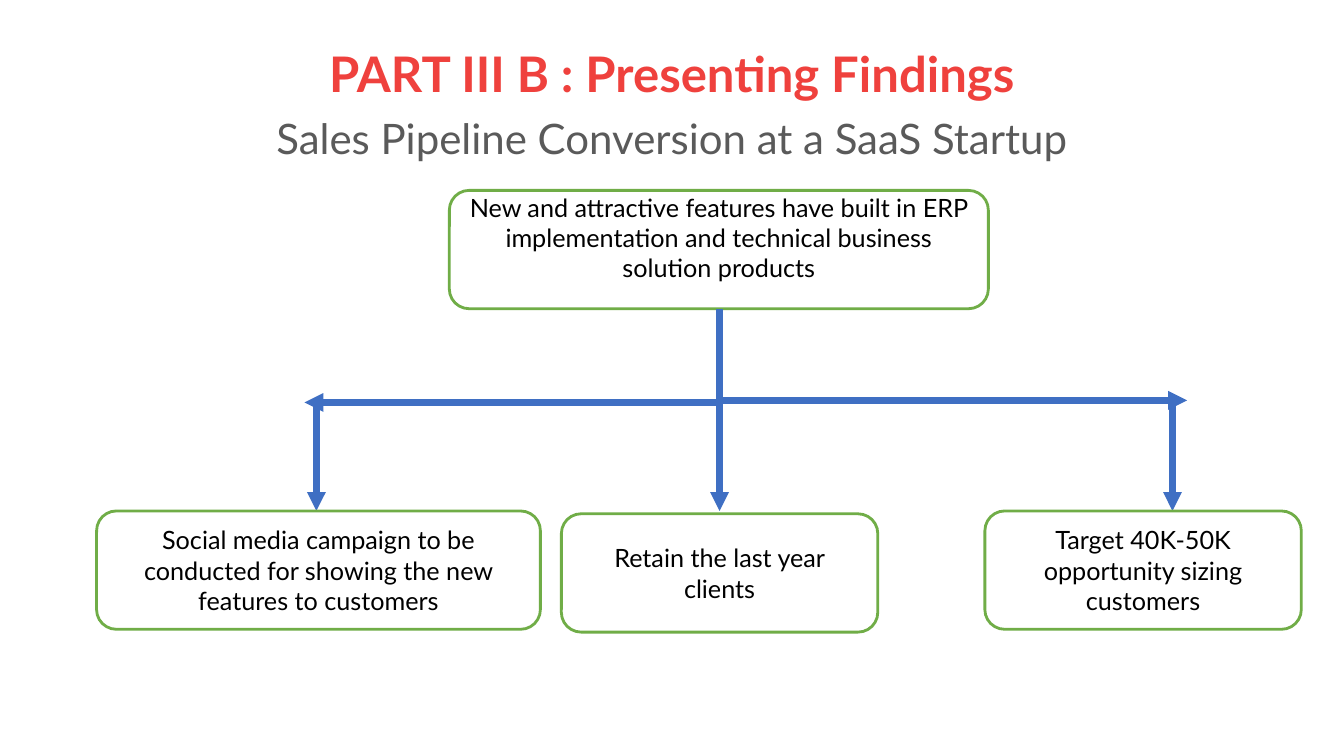
"""Build a slide that leads from one finding to three actions."""
from dataclasses import dataclass

import pptx
import pptx.dml.color
import pptx.enum.shapes
import pptx.enum.text
import pptx.oxml
import pptx.oxml.ns
import pptx.util
from lxml import etree

Pt = pptx.util.Pt
MIDDLE = pptx.enum.text.MSO_ANCHOR.MIDDLE
CENTER = pptx.enum.text.PP_ALIGN.CENTER


@dataclass(frozen=True)
class Theme:
    """Colours, font and sizes of the slide."""
    font: str = "Lato"
    title: str = "EF413D"
    subtitle: str = "5A5A5A"
    text: str = "000000"
    fill: str = "FFFFFF"
    border: str = "70AD47"
    arrow: str = "3F6FC3"
    title_size: float = 35
    subtitle_size: float = 30
    text_size: float = 18
    border_width: float = 2
    arrow_width: float = 4.5


THEME = Theme()
BOX_HEIGHT = 84.5
TRUNK_X = 514
BRANCH_Y = 286
ACTION_Y = 365


def rgb(value):
    """Return a colour for a hex string."""
    return pptx.dml.color.RGBColor.from_string(value)


def write(para, text, size, color, bold=False):
    """Put centred, styled text in a paragraph."""
    para.text = text
    para.alignment = CENTER
    para.font.name = THEME.font
    para.font.size = Pt(size)
    para.font.bold = bold
    para.font.color.rgb = rgb(color)


def add_heading(page, title, subtitle):
    """Fill the title placeholder with a title and a subtitle."""
    box = page.shapes.title
    box.left, box.top, box.width, box.height = Pt(66), Pt(24), Pt(828), Pt(104.5)
    frame = box.text_frame
    frame.auto_size = pptx.enum.text.MSO_AUTO_SIZE.NONE
    frame.vertical_anchor = MIDDLE
    first, second = frame.paragraphs[0], frame.add_paragraph()
    write(first, title, THEME.title_size, THEME.title, bold=True)
    write(second, subtitle, THEME.subtitle_size, THEME.subtitle)
    for para in (first, second):
        para.line_spacing = 0.9
        para.space_before = Pt(0)
    second.space_before = Pt(11)


def add_box(page, left, top, width, text):
    """Add a rounded, outlined box and return it."""
    box = page.shapes.add_shape(
        pptx.enum.shapes.MSO_SHAPE.ROUNDED_RECTANGLE,
        Pt(left), Pt(top), Pt(width), Pt(BOX_HEIGHT))
    box.shadow.inherit = False
    box.fill.solid()
    box.fill.fore_color.rgb = rgb(THEME.fill)
    box.line.color.rgb = rgb(THEME.border)
    box.line.width = Pt(THEME.border_width)
    frame = box.text_frame
    frame.word_wrap = True
    frame.vertical_anchor = MIDDLE
    write(frame.paragraphs[0], text, THEME.text_size, THEME.text)
    return box


def add_arrow(page, start, end):
    """Add a straight arrow between two points and return it."""
    arrow = page.shapes.add_connector(
        pptx.enum.shapes.MSO_CONNECTOR.STRAIGHT,
        *(Pt(length) for length in (*start, *end)))
    arrow.line.color.rgb = rgb(THEME.arrow)
    arrow.line.width = Pt(THEME.arrow_width)
    qn = pptx.oxml.ns.qn
    etree.SubElement(arrow.line._get_or_add_ln(), qn("a:tailEnd"), type="triangle")
    etree.SubElement(arrow._element.spPr, qn("a:effectLst"))
    return arrow


def add_bent_arrow(page, start, end):
    """Add an arrow that runs down from start, then left to end."""
    across, down = start[0] - end[0], end[1] - start[1]
    left = (start[0] + end[0] - down) / 2
    top = (start[1] + end[1] - across) / 2
    arrow = add_arrow(page, (left, top), (left + down, top + across))
    properties = arrow._element.spPr
    properties.find(pptx.oxml.ns.qn("a:prstGeom")).set("prst", "bentConnector2")
    properties.find(pptx.oxml.ns.qn("a:xfrm")).set("rot", str(90 * 60000))


def main():
    """Build and save the deck."""
    deck = pptx.Presentation()
    deck.slide_width, deck.slide_height = Pt(960), Pt(540)
    page = deck.slides.add_slide(deck.slide_layouts.get_by_name("Title Only"))
    add_heading(page, "PART III B : Presenting Findings",
                "Sales Pipeline Conversion at a SaaS Startup")

    finding = add_box(page, 321, 136, 385,
                      "New and attractive features have built in ERP "
                      "implementation and technical business solution products")
    finding.text_frame.margin_top = Pt(0)
    finding.text_frame.margin_bottom = Pt(17)

    add_bent_arrow(page, (TRUNK_X, 221), (217.5, 287.5))
    add_arrow(page, (TRUNK_X, BRANCH_Y), (848, BRANCH_Y))
    actions = (
        (226, 69, ACTION_Y, 317, "Social media campaign to be conducted for "
                                 "showing the new features to customers"),
        (TRUNK_X, 401, ACTION_Y + 2, 226, "Retain the last year clients"),
        (837.5, 703.5, ACTION_Y, 226, "Target 40K-50K opportunity sizing customers"),
    )
    for arrow_x, left, top, width, text in actions:
        add_arrow(page, (arrow_x, BRANCH_Y), (arrow_x, ACTION_Y))
        add_box(page, left, top, width, text)
    deck.save("out.pptx")


if __name__ == "__main__":
    main()
